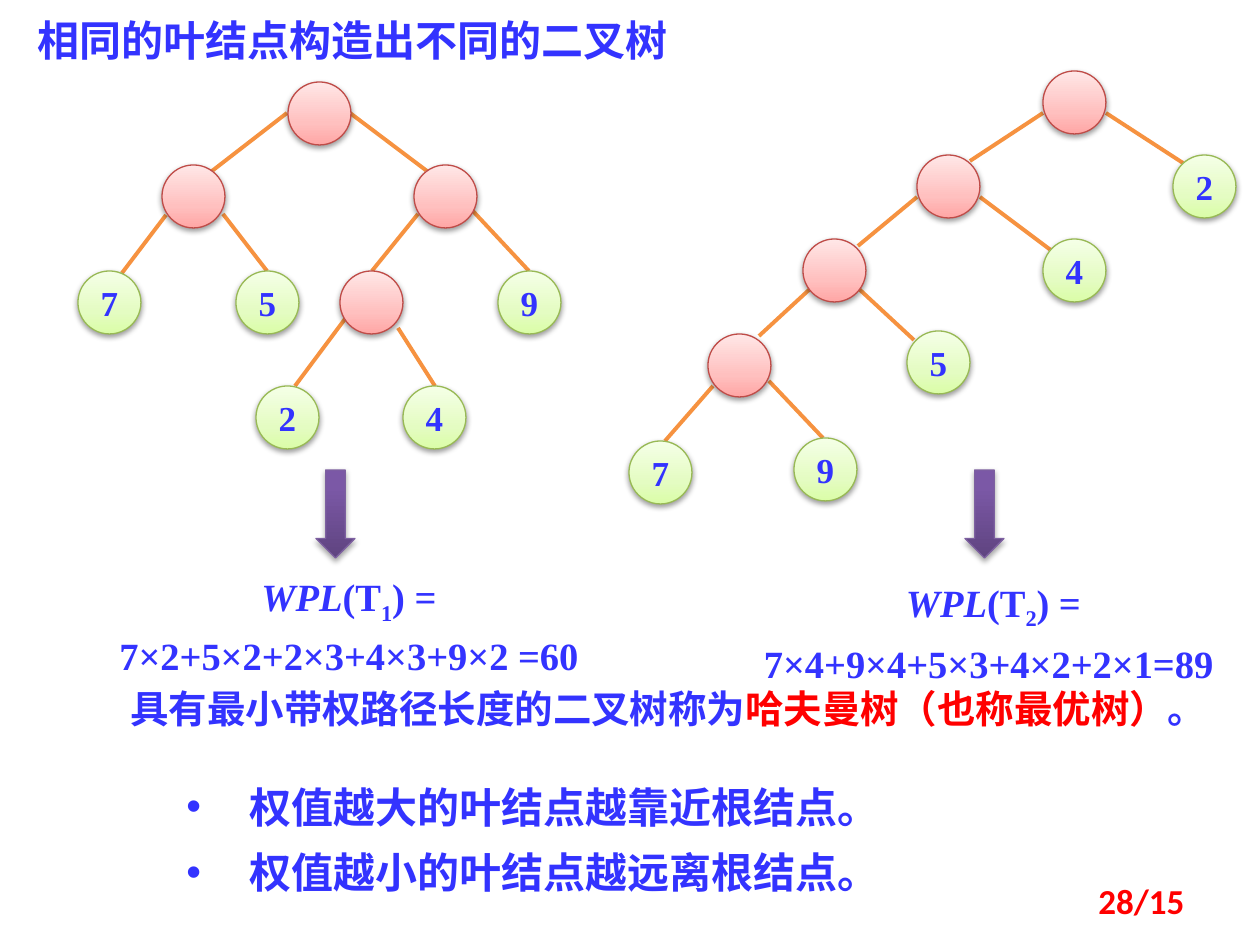
import pptx
import pptx.dml.color
import pptx.enum.shapes
import pptx.enum.text
import pptx.oxml.ns
import pptx.util
from lxml import etree

SCALE = 914400 // 126  # EMU per pixel
NODE = 63
BLUE, RED, ORANGE = "3333FF", "FF0000", "F69240"
LATIN, CHINESE, NUMERAL = "Times New Roman", "Noto Sans CJK SC", "Calibri"
ALIGN = pptx.enum.text.PP_ALIGN
ANCHOR = pptx.enum.text.MSO_ANCHOR
SHAPE = pptx.enum.shapes.MSO_SHAPE
qn = pptx.oxml.ns.qn

# Fill stops, outline, shadow opacity and shadow distance
INNER = ([(0, "FFA6A5"), (35, "FFC0BF"), (100, "FFE7E7")], "BF4C48", 38, 20000)
LEAF = ([(0, "DAFDA7"), (35, "E4FCC2"), (100, "F5FFE7")], "98B955", 38, 20000)
ARROW = ([(0, "5F4480"), (80, "7B58A6"), (100, "7C57A8")], "7D60A0", 35, 23000)

# Each node: left, top, weight, and the edge that leads to it
BALANCED = [
    (210, 0, "", None),
    (84, 83, "", (209, 31, 134, 89)),
    (336, 83, "", (272, 31, 349, 89)),
    (0, 189, "7", (88, 133, 44, 191)),
    (158, 189, "5", (145, 132, 189, 189)),
    (262, 189, "", (340, 132, 294, 189)),
    (420, 189, "9", (394, 128, 451, 189)),
    (178, 304, "2", (267, 237, 217, 304)),
    (325, 304, "4", (320, 246, 357, 304)),
]
SKEWED = [
    (414, 0, "", None),
    (288, 84, "", (414, 42, 341, 90)),
    (544, 84, "2", (477, 42, 554, 92)),
    (174, 168, "", (288, 126, 229, 175)),
    (414, 168, "4", (351, 126, 423, 180)),
    (79, 263, "", (181, 218, 130, 265)),
    (278, 260, "5", (230, 218, 285, 269)),
    (0, 370, "7", (84, 315, 36, 370)),
    (165, 367, "9", (140, 310, 194, 367)),
]


def px(*lengths):
    return [pptx.util.Emu(length * SCALE) for length in lengths]


def rgb(color):
    return pptx.dml.color.RGBColor.from_string(color)


def apply(target, formats):
    for attribute, value in formats.items():
        setattr(target, attribute, value)


def write(frame, paragraphs, size, font=LATIN, layout=None, **frame_format):
    """Each paragraph is a list of (text, color, italic, baseline) runs."""
    apply(frame, {"word_wrap": True, "vertical_anchor": ANCHOR.TOP,
                  "auto_size": pptx.enum.text.MSO_AUTO_SIZE.NONE, **frame_format})
    for index, runs in enumerate(paragraphs):
        paragraph = frame.add_paragraph() if index else frame.paragraphs[0]
        apply(paragraph, {"alignment": ALIGN.LEFT, **(layout or {})})
        for text, color, italic, baseline in runs:
            run = paragraph.add_run()
            run.text = text
            apply(run.font, {"name": font, "size": pptx.util.Pt(size),
                             "bold": True, "italic": italic})
            run.font.color.rgb = rgb(color)
            properties = run.font._element
            etree.SubElement(properties, qn("a:ea"), typeface=CHINESE)
            if baseline:
                properties.set("baseline", str(baseline * 1000))


def plain(text, color=BLUE):
    return (text, color, False, 0)


def text_box(slide, box, paragraphs, size, **formats):
    frame = slide.shapes.add_textbox(*px(*box)).text_frame
    write(frame, paragraphs, size, **formats)
    return frame


def glossy_shape(slide, kind, box, style):
    stops, outline, opacity, distance = style
    shape = slide.shapes.add_shape(kind, *px(*box))
    shape.fill.gradient()
    shape.fill.gradient_angle = 90
    stop_list = shape._element.spPr.find(".//" + qn("a:gsLst"))
    stop_list.clear()
    for position, color in stops:
        stop = etree.SubElement(stop_list, qn("a:gs"), pos=str(position * 1000))
        etree.SubElement(stop, qn("a:srgbClr"), val=color)
    shape.line.color.rgb = rgb(outline)
    shape.line.width = pptx.util.Pt(0.75)
    shape.shadow.inherit = False
    effects = shape._element.spPr.find(qn("a:effectLst"))
    shadow = etree.SubElement(effects, qn("a:outerShdw"), blurRad="40000",
                              dist=str(distance), dir="5400000", rotWithShape="0")
    black = etree.SubElement(shadow, qn("a:srgbClr"), val="000000")
    etree.SubElement(black, qn("a:alpha"), val=str(opacity * 1000))
    return shape


def heading(slide, box, text):
    title = slide.shapes.title
    apply(title, dict(zip(("left", "top", "width", "height"), px(*box))))
    write(title.text_frame, [[plain(text)]], 24)


def tree(slide, left, top, nodes):
    # Edges lie behind the nodes
    for *_, edge in nodes:
        if edge:
            x1, y1, x2, y2 = edge
            branch = slide.shapes.add_connector(
                pptx.enum.shapes.MSO_CONNECTOR.STRAIGHT,
                *px(left + x1, top + y1, left + x2, top + y2))
            branch.line.color.rgb = rgb(ORANGE)
            branch.line.width = pptx.util.Pt(2.25)
            etree.SubElement(branch._element.spPr, qn("a:effectLst"))
    # Nodes: those with a weight are leaves
    for x, y, weight, _ in nodes:
        node = glossy_shape(slide, SHAPE.OVAL, (left + x, top + y, NODE, NODE),
                            LEAF if weight else INNER)
        if weight:
            write(node.text_frame, [[plain(weight)]], 20, word_wrap=False,
                  layout={"alignment": ALIGN.CENTER}, vertical_anchor=ANCHOR.MIDDLE)


def path_length(slide, box, arrow_left, formula_top, index, total, layout):
    left, top, width, height = box
    glossy_shape(slide, SHAPE.DOWN_ARROW, (left + arrow_left, top, 39, 88), ARROW)
    name = [("WPL", BLUE, True, 0), plain("(T"), (index, BLUE, False, -25), plain(") =")]
    text_box(slide, (left, top + formula_top, width, height - formula_top),
             [name, [plain(total)]], 22,
             layout={"alignment": ALIGN.CENTER, **layout})


def conclusion(slide, box):
    text_box(slide, box, [[plain("具有最小带权路径长度的二叉树称为"),
                           plain("哈夫曼树（也称最优树）", RED), plain("。")]],
             22, font=CHINESE)


def principles(slide, box, lines):
    frame = text_box(slide, box, [[plain(line)] for line in lines], 24,
                     layout={"line_spacing": 1.3})
    for paragraph in frame.paragraphs:
        properties = paragraph._element.get_or_add_pPr()
        properties.set("marL", "457200")
        properties.set("indent", "-457200")
        etree.SubElement(properties, qn("a:buFont"), typeface="Arial")
        etree.SubElement(properties, qn("a:buChar"), char="•")


def page_number(slide, box, text):
    text_box(slide, box, [[plain(text, RED)]], 20, font=NUMERAL,
             layout={"alignment": ALIGN.RIGHT}, vertical_anchor=ANCHOR.MIDDLE)


deck = pptx.Presentation()
deck.slide_width, deck.slide_height = pptx.util.Inches(10), pptx.util.Inches(7.5)
page = deck.slides.add_slide(deck.slide_layouts[5])

heading(page, (25, 8, 922, 63), "相同的叶结点构造出不同的二叉树")
tree(page, 78, 82, BALANCED)
tree(page, 629, 71, SKEWED)
path_length(page, (76, 470, 546, 217), 240, 102, "1", "7×2+5×2+2×3+4×3+9×2 =60",
            {"line_spacing": 0.8, "space_before": pptx.util.Pt(12)})
path_length(page, (748, 470, 491, 217), 217, 92, "2", "7×4+9×4+5×3+4×2+2×1=89 ",
            {"line_spacing": 1.2})
conclusion(page, (118, 679, 1123, 59))
principles(page, (174, 760, 767, 145),
           ["权值越大的叶结点越靠近根结点。", "权值越小的叶结点越远离根结点。"])
page_number(page, (903, 876, 294, 50), "28/15")

deck.save("out.pptx")
